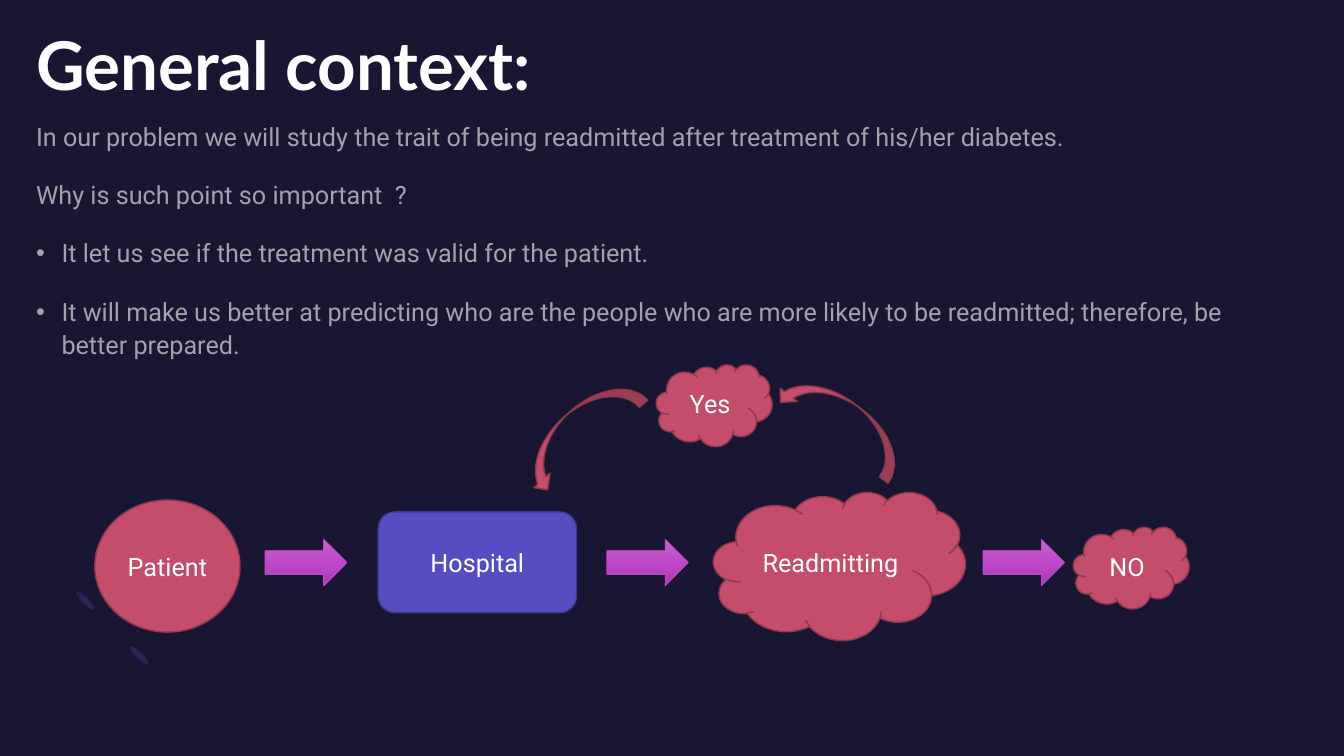
from copy import deepcopy

from lxml import etree
from pptx import Presentation
from pptx.dml.color import RGBColor
from pptx.enum.shapes import MSO_SHAPE
from pptx.enum.text import MSO_ANCHOR, MSO_AUTO_SIZE, PP_ALIGN
from pptx.oxml.ns import qn
from pptx.util import Cm, Pt

CLOUD, OVAL = MSO_SHAPE.CLOUD, MSO_SHAPE.OVAL
ROUNDED = MSO_SHAPE.ROUNDED_RECTANGLE
ARROW, CURVED_ARROW = MSO_SHAPE.RIGHT_ARROW, MSO_SHAPE.CURVED_RIGHT_ARROW
LEFT, CENTER = PP_ALIGN.LEFT, PP_ALIGN.CENTER
TOP, MIDDLE = MSO_ANCHOR.TOP, MSO_ANCHOR.MIDDLE
NO_AUTOFIT = MSO_AUTO_SIZE.NONE

NIGHT, WHITE = "191634", "FFFFFF"
ROSE, ROSE_LINE = "C34D6A", "90394E"
VIOLET, VIOLET_LINE = "574DC3", "403990"
ARROW_STOPS, ARROW_LINE = ((0, "C167CA"), (0.5, "BE47C9"), (1, "AE39B9")), "B94DC3"

TITLE = "General context:"
# Each entry: wording, whether it has a bullet
BODY = (
    ("In our problem we will study the trait of being readmitted after treatment of his/her diabetes.", False),
    ("Why is such point so important  ?", False),
    ("It let us see if the treatment was valid for the patient.", True),
    ("It will make us better at predicting who are the people who are more likely to be "
     "readmitted; therefore, be better prepared.", True),
)

# Offsets and sizes in centimetres from the corner of the flow chart
STEPS = (
    ("Patient", OVAL, (0, 3.79, 3.66, 3.33), ROSE, ROSE_LINE),
    ("Hospital", ROUNDED, (7.14, 4.09, 5, 2.54), VIOLET, VIOLET_LINE),
    ("Readmitting", CLOUD, (15.59, 3.59, 6.35, 3.73), ROSE, ROSE_LINE),
    ("NO", CLOUD, (24.66, 4.47, 2.92, 2.06), ROSE, ROSE_LINE),
    ("Yes", CLOUD, (14.15, 0.38, 2.92, 2.06), ROSE, ROSE_LINE),
)
ARROW_LEFTS = (4.29, 12.9, 22.38)
RETURN_ARROWS = ((18.31, 0, 127), (11.66, 0.26, 48.1))

# Ring segment: each curve lists four Bezier points
RING_CURVES = (
    ((0.51, 1.96), (0, 1.45), (0.05, 0.59), (0.64, 0)),
    ((1.09, 0.46), (0.79, 0.74), (0.76, 1.2), (1.02, 1.43)),
    ((1.02, 1.43), (1.27, 1.68), (1.7, 1.65), (2.01, 1.37)),
    ((2.44, 1.83), (1.88, 2.39), (0.99, 2.47), (0.51, 1.96)),
)


def color(value):
    return RGBColor.from_string(value)


def set_alpha(element, percent):
    """Make the first solid colour inside the element translucent."""
    rgb = next(element.iter(qn("a:srgbClr")))
    etree.SubElement(rgb, qn("a:alpha"), val=str(percent * 1000))


def style_font(font, name, size, bold=False):
    font.name, font.size, font.bold = name, Pt(size), bold
    font.color.rgb = color(WHITE)


def place(shape, box):
    shape.left, shape.top, shape.width, shape.height = map(Cm, box)


def add_shape(page, kind, box, fill, line=None, weight=1):
    shape = page.shapes.add_shape(kind, *map(Cm, box))
    shape.shadow.inherit = False
    shape.fill.solid()
    shape.fill.fore_color.rgb = color(fill)
    if line:
        shape.line.color.rgb = color(line)
        shape.line.width = Pt(weight)
    else:
        shape.line.fill.background()
    return shape


def prepare_frame(shape, box):
    place(shape, box)
    frame = shape.text_frame
    frame.margin_left = frame.margin_right = frame.margin_top = frame.margin_bottom = 0
    frame.auto_size, frame.word_wrap, frame.vertical_anchor = NO_AUTOFIT, True, TOP
    return frame


def set_bullet(para, bulleted):
    properties = para._p.get_or_add_pPr()
    indent = Cm(0.64) if bulleted else 0
    properties.set("marL", str(indent))
    properties.set("indent", str(-indent))
    if bulleted:
        etree.SubElement(properties, qn("a:buFont"), typeface="Arial")
        etree.SubElement(properties, qn("a:buChar"), char="•")
    else:
        etree.SubElement(properties, qn("a:buNone"))


def fill_title(page, box):
    para = prepare_frame(page.shapes.title, box).paragraphs[0]
    para.text = TITLE
    para.alignment = LEFT
    style_font(para.font, "Lato", 48, bold=True)


def fill_body(page, box):
    frame = prepare_frame(page.placeholders[1], box)
    for index, (wording, bulleted) in enumerate(BODY):
        para = frame.add_paragraph() if index else frame.paragraphs[0]
        para.text = wording
        set_bullet(para, bulleted)
        para.alignment, para.line_spacing = LEFT, 1.1
        para.space_before, para.space_after = Pt(10), Pt(8)
        style_font(para.font, "Roboto", 18)
        set_alpha(para._p, 60)


def bezier_points(curve, steps=12):
    for step in range(steps + 1):
        t = step / steps
        weights = ((1 - t) ** 3, 3 * t * (1 - t) ** 2, 3 * t * t * (1 - t), t ** 3)
        yield tuple(sum(w * point[axis] for w, point in zip(weights, curve)) for axis in (0, 1))


def draw_ornament(page, left, top):
    """Faint soft-edged ring segment with two slanted end caps."""
    points = [(Cm(left + x), Cm(top + y)) for curve in RING_CURVES for x, y in bezier_points(curve)]
    builder = page.shapes.build_freeform(*points[0])
    builder.add_line_segments(points[1:], close=True)
    ring = builder.convert_to_shape()
    ring.shadow.inherit = False
    ring.fill.solid()
    ring.fill.fore_color.rgb = color("6F66BE")
    ring.line.fill.background()
    properties = ring._element.spPr
    set_alpha(properties, 20)
    etree.SubElement(properties.find(qn("a:effectLst")), qn("a:softEdge"), rad=str(Cm(0.35)))
    for x, y in ((2.01, 1.4), (0.66, 0.03)):
        cap = add_shape(page, OVAL, (left + x, top + y, 0.15, 0.66), "282353")
        cap.rotation = 135


def apply_gradient(shape, stops):
    """Fill the shape from top to bottom with three colour stops."""
    shape.fill.gradient()
    shape.fill.gradient_angle = 270
    stop_list = next(shape._element.spPr.iter(qn("a:gsLst")))
    stop_list.insert(1, deepcopy(stop_list[0]))
    for stop, (position, value) in zip(shape.fill.gradient_stops, stops):
        stop.position = position
        stop.color.rgb = color(value)


def draw_flow(page, left, top):
    for x in ARROW_LEFTS:
        arrow = add_shape(page, ARROW, (left + x, top + 4.78, 2.06, 1.17), ROSE, ARROW_LINE, 0.5)
        apply_gradient(arrow, ARROW_STOPS)
    for label, kind, (x, y, width, height), fill, line in STEPS:
        step = add_shape(page, kind, (left + x, top + y, width, height), fill, line)
        step.text_frame.vertical_anchor = MIDDLE
        para = step.text_frame.paragraphs[0]
        para.text, para.alignment = label, CENTER
        style_font(para.font, "Roboto", 18)
    for x, y, angle in RETURN_ARROWS:
        arrow = add_shape(page, CURVED_ARROW, (left + x, top + y, 1.09, 3.66), ROSE, ROSE_LINE)
        arrow.rotation = angle


def main():
    deck = Presentation()
    deck.slide_width, deck.slide_height = Cm(33.87), Cm(19.05)
    page = deck.slides.add_slide(deck.slide_layouts[1])
    page.background.fill.solid()
    page.background.fill.fore_color.rgb = color(NIGHT)
    fill_title(page, (0.91, 0.58, 13.77, 2.06))
    fill_body(page, (0.91, 2.97, 30.81, 6.3))
    draw_ornament(page, 1.42, 14.78)
    draw_flow(page, 2.39, 8.81)
    deck.save("out.pptx")


if __name__ == "__main__":
    main()
